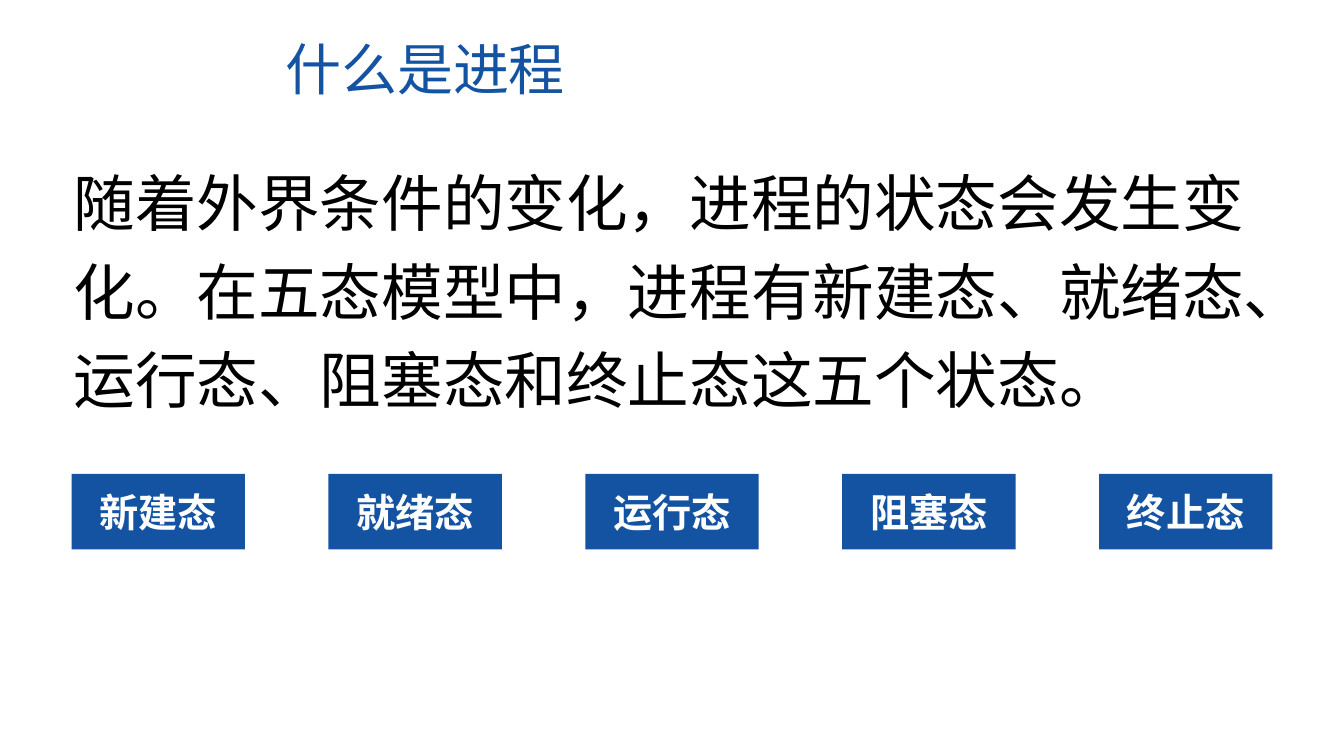
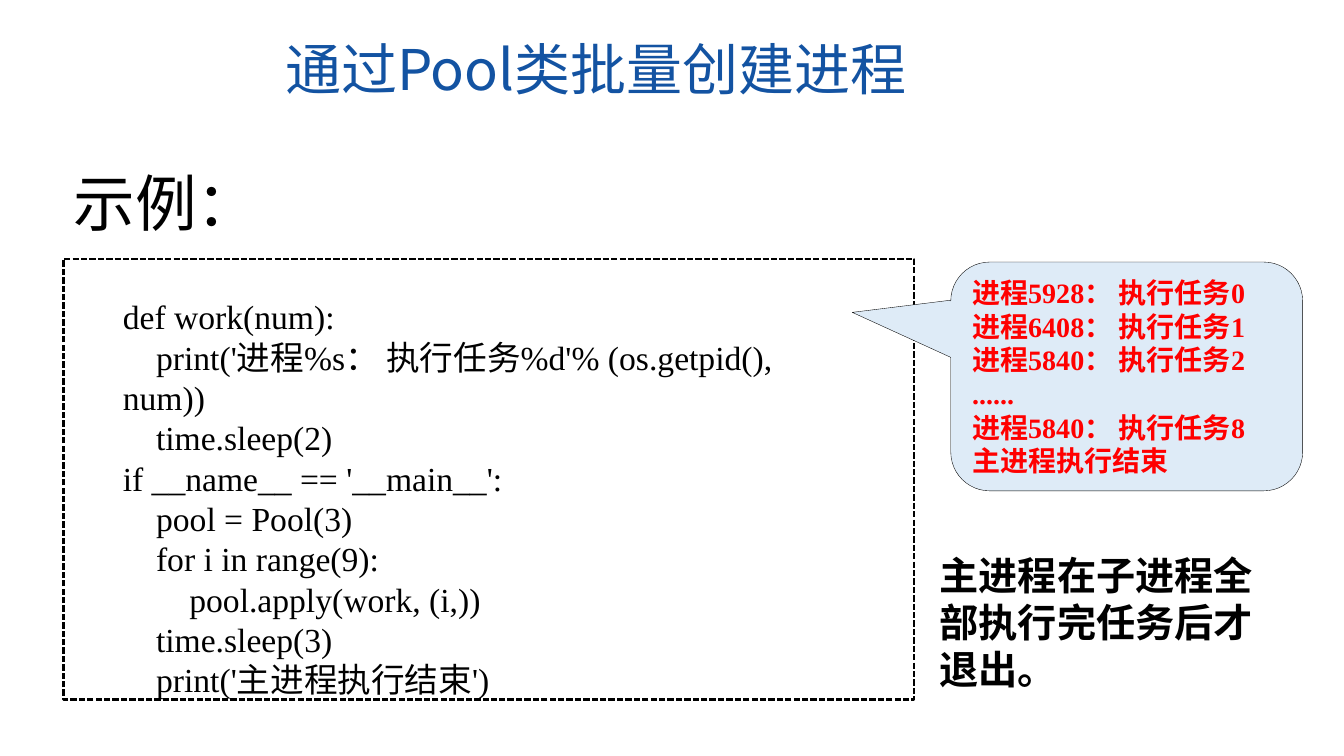
import pptx
import pptx.util
import pptx.dml.color
import pptx.enum.dml
import pptx.enum.shapes
import pptx.enum.text
import pptx.oxml.ns
from lxml import etree

Inches = pptx.util.Inches
Pt = pptx.util.Pt
RGBColor = pptx.dml.color.RGBColor
MSO_SHAPE = pptx.enum.shapes.MSO_SHAPE
PP_ALIGN = pptx.enum.text.PP_ALIGN
MSO_ANCHOR = pptx.enum.text.MSO_ANCHOR
MSO_AUTO_SIZE = pptx.enum.text.MSO_AUTO_SIZE

# Shared style
BLUE = RGBColor(0x13, 0x53, 0xA2)
PALE_BLUE = RGBColor(0xDE, 0xEB, 0xF7)
RED = RGBColor(0xFF, 0x00, 0x00)
BLACK = RGBColor(0x00, 0x00, 0x00)
WHITE = RGBColor(0xFF, 0xFF, 0xFF)
SANS = "Noto Sans CJK SC"
SERIF = "Times New Roman"
CODE_INDENT = 0.33

# Content
STATES = ["新建态", "就绪态", "运行态", "阻塞态", "终止态"]
CODE = [  # indent level, line
    (0, "def work(num):"),
    (1, "print('进程%s： 执行任务%d'% (os.getpid(), num))"),
    (1, "time.sleep(2)"),
    (0, "if __name__ == '__main__':"),
    (1, "pool = Pool(3)"),
    (1, "for i in range(9):"),
    (2, "pool.apply(work, (i,))"),
    (1, "time.sleep(3)"),
    (1, "print('主进程执行结束')"),
]
OUTPUT = [
    "进程5928： 执行任务0",
    "进程6408： 执行任务1",
    "进程5840： 执行任务2",
    "......",
    "进程5840： 执行任务8",
    "主进程执行结束",
]


def write(tf, lines, size, font=SANS, color=BLACK, bold=False,
          align=PP_ALIGN.LEFT, spacing=None, indents=None):
    """Fill a text frame, one paragraph per line."""
    tf.word_wrap = True
    for i, line in enumerate(lines):
        p = tf.paragraphs[0] if i == 0 else tf.add_paragraph()
        p.alignment = align
        if spacing:
            p.line_spacing = spacing
        if indents and indents[i]:
            first_line = Inches(indents[i] * CODE_INDENT)
            p._p.get_or_add_pPr().set("indent", str(int(first_line)))
        r = p.add_run()
        r.text = line
        r.font.size = Pt(size)
        r.font.bold = bold
        r.font.name = font
        r.font.color.rgb = color
        ea = etree.SubElement(r._r.get_or_add_rPr(), pptx.oxml.ns.qn("a:ea"))
        ea.set("typeface", SANS)


def add_text(s, x, y, w, h, lines, size, **fmt):
    sp = s.shapes.add_textbox(Inches(x), Inches(y), Inches(w), Inches(h))
    write(sp.text_frame, lines, size, **fmt)
    sp.text_frame.auto_size = MSO_AUTO_SIZE.SHAPE_TO_FIT_TEXT


def add_box(s, kind, x, y, w, h, fill=None, line=None, line_width=1):
    sp = s.shapes.add_shape(kind, Inches(x), Inches(y), Inches(w), Inches(h))
    sp.shadow.inherit = False
    if fill is None:
        sp.fill.background()
    else:
        sp.fill.solid()
        sp.fill.fore_color.rgb = fill
    if line is None:
        sp.line.fill.background()
    else:
        sp.line.color.rgb = line
        sp.line.width = Pt(line_width)
    sp.text_frame.vertical_anchor = MSO_ANCHOR.MIDDLE
    return sp


def add_slide(prs, title, title_width, body, body_height):
    """Add a slide with its title and the large body text."""
    s = prs.slides.add_slide(prs.slide_layouts[6])
    add_text(s, 2.73, 0.29, title_width, 0.77, [title], 40, color=BLUE)
    add_text(s, 0.63, 1.44, 12.29, body_height, [body], 44, spacing=1.2)
    return s


def build_states(prs):
    s = add_slide(
        prs, "什么是进程", 5.88,
        "随着外界条件的变化，进程的状态会发生变化。在五态模型中，"
        "进程有新建态、就绪态、运行态、阻塞态和终止态这五个状态。", 2.69)

    # Row of states, evenly spread between the margins
    left, right, width = 0.71, 12.62, 1.72
    step = (right - left - width) / (len(STATES) - 1)
    for i, state in enumerate(STATES):
        sp = add_box(s, MSO_SHAPE.RECTANGLE, left + i * step, 4.7,
                     width, 0.75, fill=BLUE)
        write(sp.text_frame, [state], 28, color=WHITE, bold=True,
              align=PP_ALIGN.CENTER)


def build_pool(prs):
    s = add_slide(prs, "通过Pool类批量创建进程", 6.5, "示例：", 0.91)

    # Code listing in a dashed frame
    frame = add_box(s, MSO_SHAPE.RECTANGLE, 0.63, 2.57, 8.44, 4.37,
                    line=BLACK, line_width=1.5)
    frame.line.dash_style = pptx.enum.dml.MSO_LINE.SQUARE_DOT
    levels, lines = zip(*CODE)
    add_text(s, 1.12, 2.89, 7.46, 3.74, lines, 24, font=SERIF, indents=levels)

    # Program output
    callout = add_box(s, MSO_SHAPE.ROUNDED_RECTANGULAR_CALLOUT,
                      9.43, 2.6, 3.49, 2.27,
                      fill=PALE_BLUE, line=BLACK, line_width=0.25)
    for i, value in enumerate((-0.78, -0.28, 0.17)):
        callout.adjustments[i] = value
    write(callout.text_frame, OUTPUT, 20, font=SERIF, color=RED, bold=True)

    # Conclusion
    add_text(s, 9.22, 5.42, 3.69, 1.51,
             ["主进程在子进程全部执行完任务后才退出。"], 28, bold=True)


def main():
    prs = pptx.Presentation()
    prs.slide_width = Inches(13.33)
    prs.slide_height = Inches(7.5)
    build_states(prs)
    build_pool(prs)
    prs.save("out.pptx")


if __name__ == "__main__":
    main()
